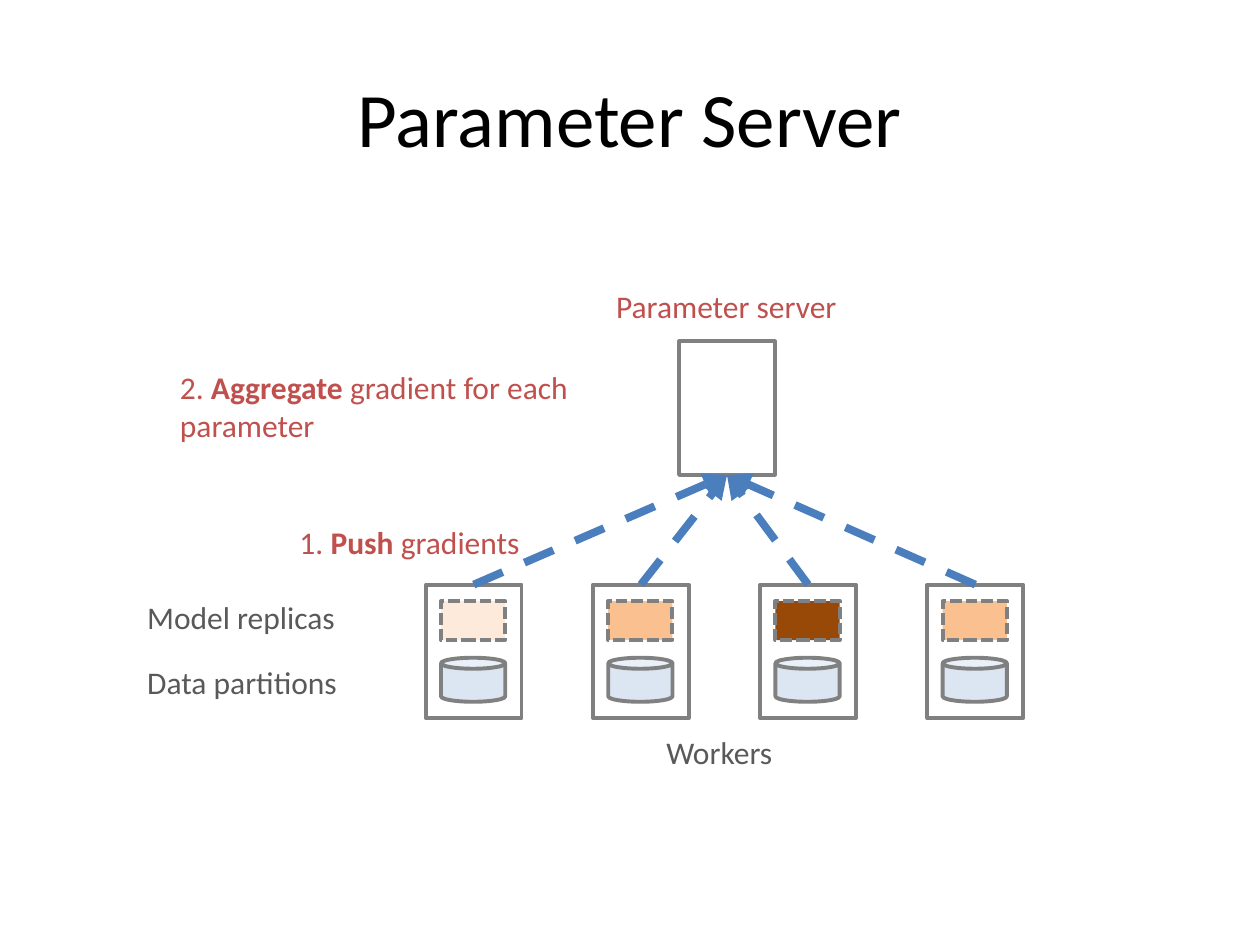
"""Build a slide showing workers that push gradients to a parameter server."""
from lxml.etree import SubElement
from pptx import Presentation
from pptx.dml.color import RGBColor
from pptx.enum.dml import MSO_LINE
from pptx.enum.shapes import MSO_CONNECTOR, MSO_SHAPE
from pptx.enum.text import MSO_ANCHOR, PP_ALIGN
from pptx.oxml.ns import qn
from pptx.util import Inches, Pt

COLORS = {
    "black": "000000", "white": "FFFFFF", "gray": "808080", "label": "595959",
    "red": "C0504D", "arrow": "4B7EBC", "data": "DCE6F2",
    "pale": "FDEADA", "orange": "FAC090", "brown": "984807",
}


def add_node(kind, left, top, width, height, fill, dash=None):
    node = page.shapes.add_shape(kind, Inches(left), Inches(top), Inches(width), Inches(height))
    node.shadow.inherit = False
    node.fill.solid()
    node.fill.fore_color.rgb = RGBColor.from_string(COLORS[fill])
    node.line.color.rgb = RGBColor.from_string(COLORS["gray"])
    node.line.width = Pt(2.25)
    if dash:
        node.line.dash_style = dash
    return node


def write(frame, text, size=18, color="label", align=PP_ALIGN.LEFT):
    """Write text in which **marked** words are bold."""
    frame.word_wrap = True
    para = frame.paragraphs[0]
    para.alignment = align
    for index, part in enumerate(text.split("**")):
        span = para.add_run()
        span.text = part
        span.font.name = "Calibri"
        span.font.size = Pt(size)
        span.font.bold = index % 2 == 1
        span.font.color.rgb = RGBColor.from_string(COLORS[color])


deck = Presentation()
deck.slide_width, deck.slide_height = Inches(10), Inches(7.5)
page = deck.slides.add_slide(deck.slide_layouts[5])

title = page.shapes.title
title.left, title.top, title.width, title.height = Inches(0.5), Inches(0.3), Inches(9), Inches(1.25)
title.text_frame.vertical_anchor = MSO_ANCHOR.MIDDLE
write(title.text_frame, "Parameter Server", size=44, color="black", align=PP_ALIGN.CENTER)

node_width, node_height = 0.76, 1.06
worker_left, worker_top, worker_step = 3.38, 4.64, 1.327
server_left, server_top = 5.39, 2.71
add_node(MSO_SHAPE.RECTANGLE, server_left, server_top, node_width, node_height, "white")

for index, replica in enumerate(["pale", "orange", "brown", "orange"]):
    left = worker_left + index * worker_step
    add_node(MSO_SHAPE.RECTANGLE, left, worker_top, node_width, node_height, "white")
    add_node(MSO_SHAPE.CAN, left + 0.12, 5.22, 0.51, 0.35, "data")
    add_node(MSO_SHAPE.RECTANGLE, left + 0.12, 4.77, 0.51, 0.31, replica, MSO_LINE.SQUARE_DOT)
    push = page.shapes.add_connector(
        MSO_CONNECTOR.STRAIGHT,
        Inches(left + node_width / 2), Inches(worker_top),
        Inches(server_left + node_width / 2), Inches(server_top + node_height))
    push.line.color.rgb = RGBColor.from_string(COLORS["arrow"])
    push.line.width = Pt(4.5)
    push.line.dash_style = MSO_LINE.DASH
    SubElement(push.line._get_or_add_ln(), qn("a:tailEnd"), type="triangle")
    SubElement(push._element.spPr, qn("a:effectLst"))

labels = [
    ("Data partitions", 1.07, 5.21, 2.2, 0.4, "label", PP_ALIGN.LEFT),
    ("Model replicas", 1.07, 4.7, 2.2, 0.4, "label", PP_ALIGN.LEFT),
    ("Workers", 5.19, 5.77, 1.3, 0.4, "label", PP_ALIGN.LEFT),
    ("1. **Push** gradients", 2.19, 4.1, 2.12, 0.4, "red", PP_ALIGN.CENTER),
    ("Parameter server", 4.63, 2.23, 2.27, 0.4, "red", PP_ALIGN.CENTER),
    ("2. **Aggregate** gradient for each parameter", 1.33, 2.87, 3.67, 0.71, "red", PP_ALIGN.LEFT),
]
for text, left, top, width, height, color, align in labels:
    box = page.shapes.add_textbox(Inches(left), Inches(top), Inches(width), Inches(height))
    write(box.text_frame, text, color=color, align=align)

deck.save("out.pptx")
